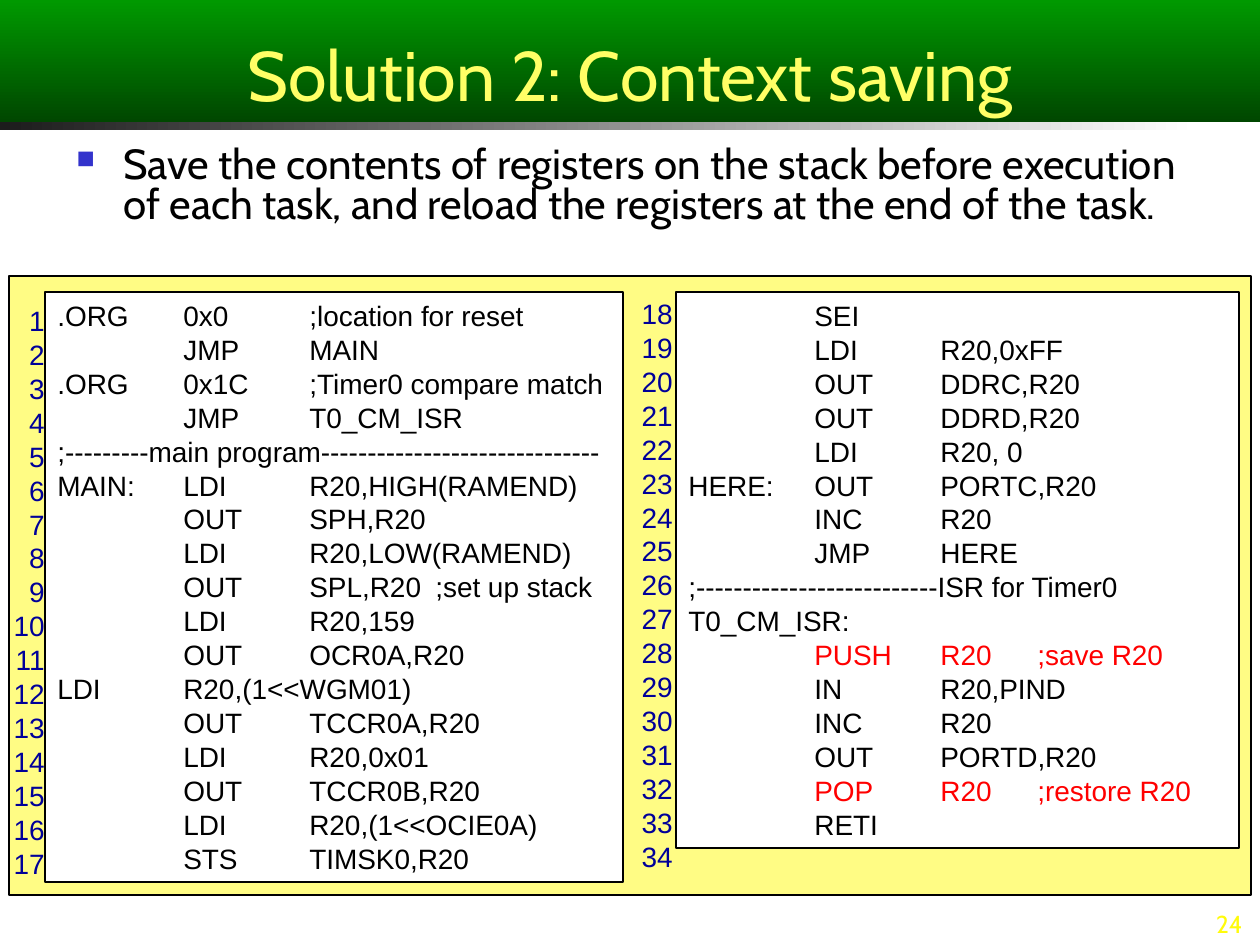
from lxml import etree
from pptx import Presentation
from pptx.dml.color import RGBColor
from pptx.enum.shapes import MSO_SHAPE
from pptx.enum.text import MSO_ANCHOR, PP_ALIGN
from pptx.oxml.ns import qn
from pptx.util import Emu, Pt

# Content
TITLE = "Solution 2: Context saving"
SUMMARY = ("Save the contents of registers on the stack before execution of each task, "
           "and reload the registers at the end of the task.")
PAGE_NUMBER = "24"
MAIN_CODE = [
    ".ORG\t0x0\t;location for reset",
    "\tJMP\tMAIN",
    ".ORG\t0x1C\t;Timer0 compare match",
    "\tJMP\tT0_CM_ISR",
    ";---------main program------------------------------",
    "MAIN:\tLDI\tR20,HIGH(RAMEND)",
    "\tOUT\tSPH,R20",
    "\tLDI\tR20,LOW(RAMEND)",
    "\tOUT\tSPL,R20\t;set up stack",
    "\tLDI\tR20,159",
    "\tOUT\tOCR0A,R20\t\tLDI\tR20,(1<<WGM01)",
    "\tOUT\tTCCR0A,R20",
    "\tLDI\tR20,0x01",
    "\tOUT\tTCCR0B,R20",
    "\tLDI\tR20,(1<<OCIE0A)",
    "\tSTS\tTIMSK0,R20",
]
ISR_CODE = [
    "\tSEI",
    "\tLDI\tR20,0xFF",
    "\tOUT\tDDRC,R20",
    "\tOUT\tDDRD,R20",
    "\tLDI\tR20, 0",
    "HERE:\tOUT\tPORTC,R20",
    "\tINC\tR20",
    "\tJMP\tHERE",
    ";--------------------------ISR for Timer0",
    "T0_CM_ISR:",
    "\tPUSH\tR20\t;save R20",
    "\tIN\tR20,PIND",
    "\tINC\tR20",
    "\tOUT\tPORTD,R20",
    "\tPOP\tR20\t;restore R20",
    "\tRETI",
]
CONTEXT_OPERATIONS = ("\tPUSH", "\tPOP")
NUMBERS_PER_COLUMN = 17

COLORS = {
    "black": "000000", "white": "FFFFFF", "red": "FF0000", "navy": "000099",
    "title": "FFFF66", "page": "FFFB0B", "panel": "FFFC84", "bullet": "3333CC",
    "green": "009900", "dark green": "004700", "charcoal": "1C1C1C",
}

# Layout in px, (left, top, width, height)
SCALE = 914400 / 126
SLIDE_SIZE = (1260, 945)
RULE_BOX = (0, 122, 1198, 8)
PAGE_BOX = (987, 910, 268, 35)
PANEL_BOX = (9, 276, 1242, 619)
TITLE_BOX = (0, 0, 1260, 122)
SUMMARY_BOX = (64, 141, 1145, 146)
CODE_COLUMNS = [  # code lines, box, tab stops, first number, number box
    (MAIN_CODE, (45, 292, 578, 590), [126 * n for n in range(1, 8)], 1, (-11, 297, 68, 590)),
    (ISR_CODE, (676, 292, 563, 556), [126, 252, 349], 18, (617, 290, 68, 590)),
]


def px(length):
    return Emu(round(length * SCALE))


def color(name):
    return RGBColor.from_string(COLORS[name])


def add_rectangle(slide, box, fill=None, gradient=None, outlined=False):
    shape = slide.shapes.add_shape(MSO_SHAPE.RECTANGLE, *map(px, box))
    shape.shadow.inherit = False
    if gradient:
        *names, angle = gradient
        shape.fill.gradient()
        shape.fill.gradient_angle = angle
        for stop, name in zip(shape.fill.gradient_stops, names):
            stop.color.rgb = color(name)
    else:
        shape.fill.solid()
        shape.fill.fore_color.rgb = color(fill)
    if outlined:
        shape.line.color.rgb = color("black")
        shape.line.width = Pt(0.75)
    else:
        shape.line.fill.background()
    return shape


def write(shape, lines, size, font, align=PP_ALIGN.LEFT, anchor=MSO_ANCHOR.TOP,
          spacing=None, before=0.1):
    """Fill a shape with (text, color name) lines."""
    frame = shape.text_frame
    frame.word_wrap = True
    frame.vertical_anchor = anchor
    for index, (text, color_name) in enumerate(lines):
        paragraph = frame.paragraphs[0] if index == 0 else frame.add_paragraph()
        paragraph.alignment = align
        paragraph.space_before = Pt(before)
        paragraph.space_after = Pt(0.1)
        paragraph.line_spacing = spacing
        run = paragraph.add_run()
        run.text = text
        run.font.size = Pt(size)
        run.font.name = font
        run.font.color.rgb = color(color_name)
    return frame.paragraphs


def add_text(slide, box, lines, size, font, **options):
    return write(slide.shapes.add_textbox(*map(px, box)), lines, size, font, **options)


def set_tabs(paragraph, stops):
    tab_list = etree.SubElement(paragraph._p.get_or_add_pPr(), qn("a:tabLst"))
    for stop in stops:
        etree.SubElement(tab_list, qn("a:tab"), pos=str(px(stop)), algn="l")


def set_bullet(paragraph, indent):
    properties = paragraph._p.get_or_add_pPr()
    properties.set("marL", str(px(indent)))
    properties.set("indent", str(px(-indent)))
    bullet_color = etree.SubElement(properties, qn("a:buClr"))
    etree.SubElement(bullet_color, qn("a:srgbClr"), val=COLORS["bullet"])
    etree.SubElement(properties, qn("a:buSzPct"), val="60000")
    etree.SubElement(properties, qn("a:buChar"), char="■")


def main():
    presentation = Presentation()
    presentation.slide_width, presentation.slide_height = map(px, SLIDE_SIZE)
    slide = presentation.slides.add_slide(presentation.slide_layouts[6])

    # Rule under the title, page number and code panel
    add_rectangle(slide, RULE_BOX, gradient=("charcoal", "white", 0))
    add_text(slide, PAGE_BOX, [(PAGE_NUMBER, "page")], 14, "Cabin",
             align=PP_ALIGN.RIGHT, anchor=MSO_ANCHOR.BOTTOM)
    add_rectangle(slide, PANEL_BOX, fill="panel", outlined=True)

    # Title band and summary
    title = add_rectangle(slide, TITLE_BOX, gradient=("green", "dark green", 270))
    write(title, [(TITLE, "title")], 40, "Cabin",
          align=PP_ALIGN.CENTER, anchor=MSO_ANCHOR.BOTTOM)
    summary = add_text(slide, SUMMARY_BOX, [(SUMMARY, "black")], 24, "Cabin",
                       spacing=0.8, before=6.1)
    set_bullet(summary[0], 47)

    # Code listings with their line numbers
    code_style = {"size": 16, "font": "Arial", "spacing": Pt(19.2)}
    for code, box, stops, first, number_box in CODE_COLUMNS:
        lines = [(text, "red" if text.startswith(CONTEXT_OPERATIONS) else "black")
                 for text in code]
        listing = add_rectangle(slide, box, fill="white", outlined=True)
        for paragraph in write(listing, lines, **code_style):
            set_tabs(paragraph, stops)
        numbers = [(str(first + n), "navy") for n in range(NUMBERS_PER_COLUMN)]
        add_text(slide, number_box, numbers, align=PP_ALIGN.RIGHT, **code_style)

    presentation.save("out.pptx")


if __name__ == "__main__":
    main()
